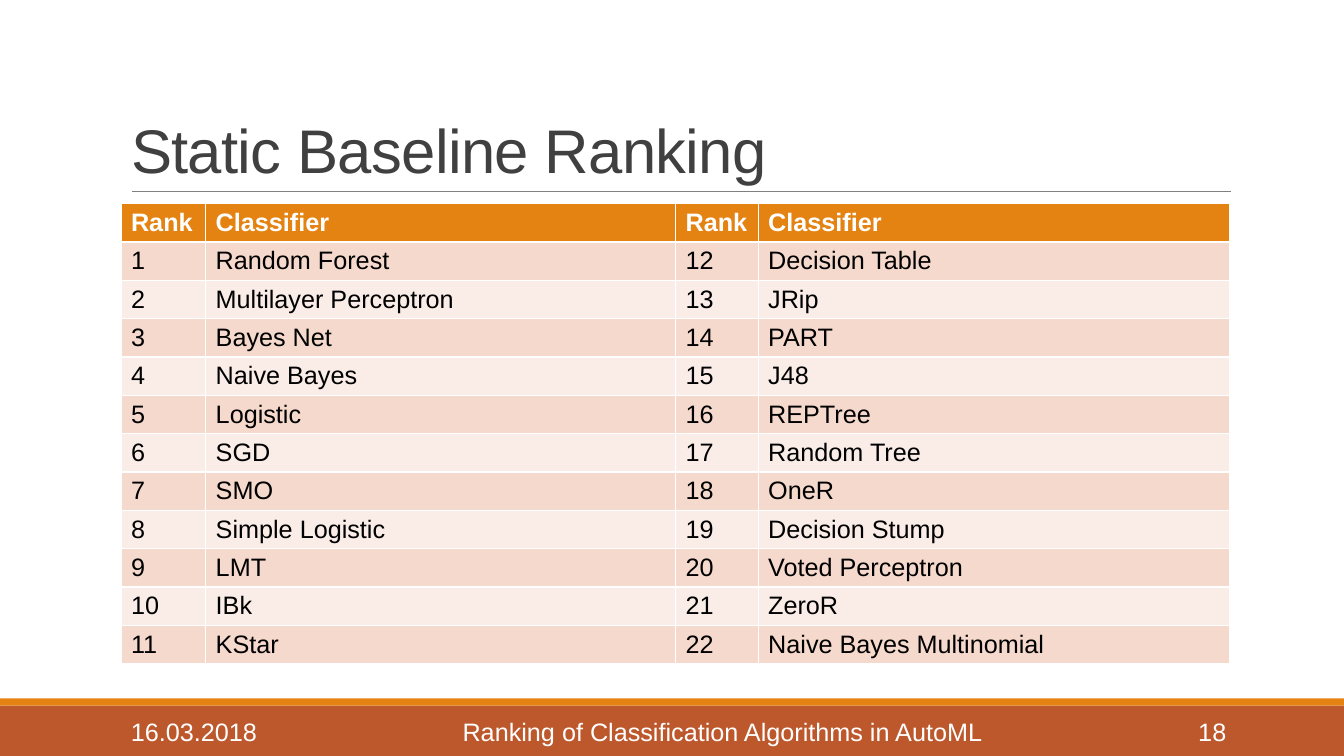
from lxml.etree import SubElement
from pptx import Presentation
from pptx.dml.color import RGBColor
from pptx.enum.shapes import MSO_CONNECTOR, MSO_SHAPE
from pptx.enum.text import MSO_ANCHOR as Anchor, MSO_AUTO_SIZE as AutoSize, PP_ALIGN as Align
from pptx.oxml.ns import qn
from pptx.util import Inches, Pt

TITLE = "Static Baseline Ranking"
HEADINGS = ["Rank", "Classifier"]
CLASSIFIERS = [
    "Random Forest", "Multilayer Perceptron", "Bayes Net", "Naive Bayes",
    "Logistic", "SGD", "SMO", "Simple Logistic", "LMT", "IBk", "KStar",
    "Decision Table", "JRip", "PART", "J48", "REPTree", "Random Tree",
    "OneR", "Decision Stump", "Voted Perceptron", "ZeroR",
    "Naive Bayes Multinomial",
]
FOOTER = [  # text, width, alignment
    ("16.03.2018", 1.59, Align.LEFT),
    ("Ranking of Classification Algorithms in AutoML", 8.75, Align.CENTER),
    ("18", 0.72, Align.RIGHT),
]

FONT = "Arial"
WHITE, BLACK, GREY, RULE = "FFFFFF", "000000", "404040", "808080"
ORANGE, RUST = "E48312", "BD582C"
BANDS = ["F5D9CC", "FAEDE7"]

WIDTH, HEIGHT = 13.33, 7.5
LEFT, CONTENT_WIDTH = 1.2, 11
TABLE_TOP, ROW_HEIGHT = 2.02, 0.38
COLUMNS = [0.84, 4.66, 0.82, 4.68]
BAR_TOP, STRIPE_HEIGHT = 7, 0.07


def color(hex_code):
    return RGBColor.from_string(hex_code)


def box_of(*lengths):
    return [Inches(length) for length in lengths]


def format_text(frame, size, hex_code, align=Align.LEFT, bold=False):
    para = frame.paragraphs[0]
    para.alignment = align
    for span in para.runs:
        font = span.font
        font.name, font.size, font.bold = FONT, Pt(size), bold
        font.color.rgb = color(hex_code)


def add_bar(page, top, height, hex_code):
    bar = page.shapes.add_shape(MSO_SHAPE.RECTANGLE, *box_of(0, top, WIDTH, height))
    bar.shadow.inherit = False
    bar.fill.solid()
    bar.fill.fore_color.rgb = color(hex_code)
    bar.line.fill.background()


def add_title(page):
    title = page.shapes.title
    title.left, title.top, title.width, title.height = box_of(LEFT, 0.31, CONTENT_WIDTH, 1.59)
    frame = title.text_frame
    frame.text = TITLE
    frame.vertical_anchor = Anchor.BOTTOM
    frame.auto_size = AutoSize.NONE
    format_text(frame, 44, GREY)
    para = frame.paragraphs[0]
    para.line_spacing = 0.85
    para.runs[0].font._element.set("spc", "-50")

    rule = page.shapes.add_connector(MSO_CONNECTOR.STRAIGHT, *box_of(1.31, 1.9, 12.21, 1.9))
    rule.line.color.rgb = color(RULE)
    rule.line.width = Pt(0.5)
    SubElement(rule._element.spPr, qn("a:effectLst"))


def add_ranking(page):
    """Rank the classifiers down the left half, then down the right half."""
    half = len(CLASSIFIERS) // 2
    ranked = [[str(rank), name] for rank, name in enumerate(CLASSIFIERS, 1)]
    rows = [HEADINGS * 2] + [ranked[i] + ranked[i + half] for i in range(half)]
    area = box_of(LEFT, TABLE_TOP, sum(COLUMNS), ROW_HEIGHT * len(rows))
    table = page.shapes.add_table(len(rows), len(COLUMNS), *area).table
    for column, width in zip(table.columns, COLUMNS):
        column.width = Inches(width)
    for r, row in enumerate(rows):
        table.rows[r].height = Inches(ROW_HEIGHT)
        is_header = r == 0
        for c, text in enumerate(row):
            cell = table.cell(r, c)
            cell.fill.solid()
            cell.fill.fore_color.rgb = color(ORANGE if is_header else BANDS[(r - 1) % 2])
            cell.text_frame.text = text
            format_text(cell.text_frame, 18, WHITE if is_header else BLACK, bold=is_header)


def add_footer(page):
    left = LEFT
    for text, width, align in FOOTER:
        frame = page.shapes.add_textbox(*box_of(left, 7.06, width, 0.4)).text_frame
        frame.word_wrap = True
        frame.vertical_anchor = Anchor.MIDDLE
        frame.text = text
        format_text(frame, 18, WHITE, align)
        left += width


def main():
    deck = Presentation()
    deck.slide_width, deck.slide_height = box_of(WIDTH, HEIGHT)
    page = deck.slides.add_slide(deck.slide_layouts.get_by_name("Title Only"))
    add_bar(page, BAR_TOP, HEIGHT - BAR_TOP, RUST)
    add_bar(page, BAR_TOP - STRIPE_HEIGHT, STRIPE_HEIGHT, ORANGE)
    add_title(page)
    add_ranking(page)
    add_footer(page)
    deck.save("out.pptx")


if __name__ == "__main__":
    main()
